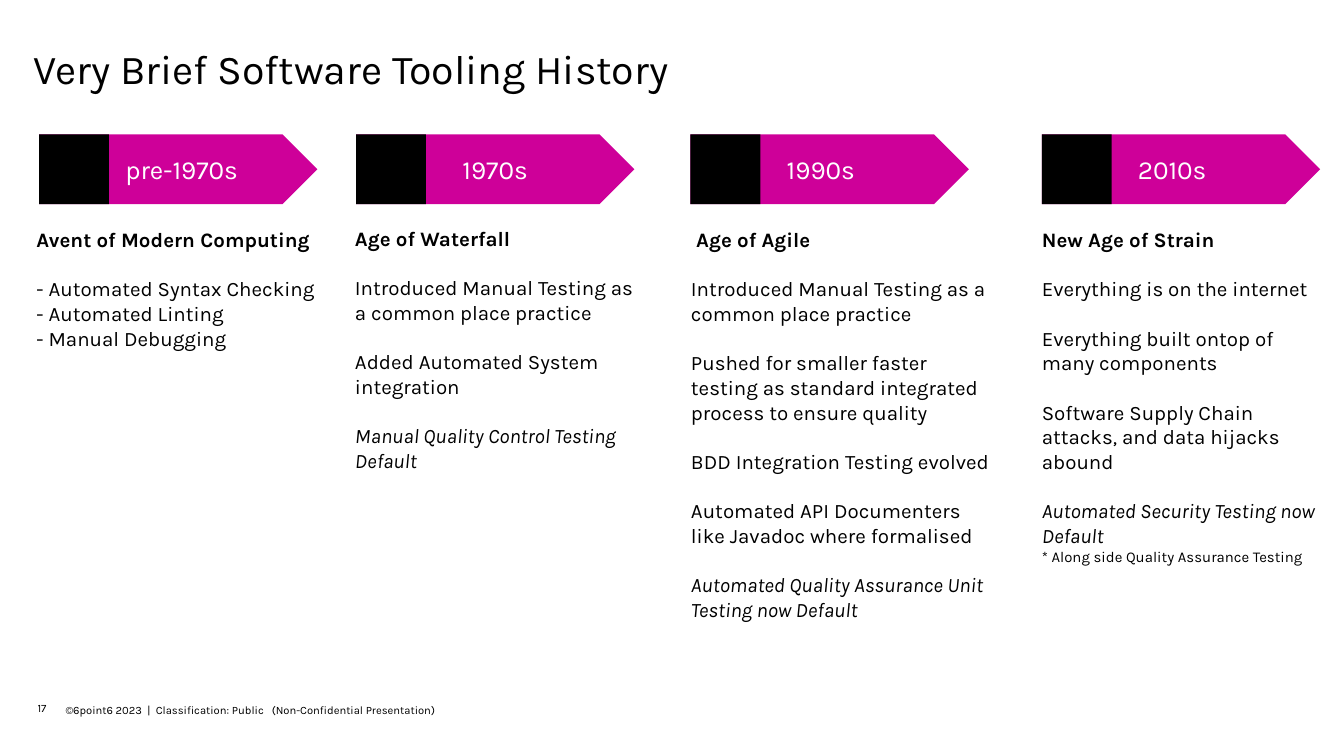
from pptx import Presentation
from pptx.dml.color import RGBColor
from pptx.enum.shapes import MSO_SHAPE as Shape
from pptx.enum.text import MSO_ANCHOR as Anchor, PP_ALIGN as Align
from pptx.util import Cm, Pt

COLOURS = {"ink": "000000", "pink": "CE0099", "paper": "FFFFFF"}
FONT = "Karla"
TITLE = "Very Brief Software Tooling History"
PAGE_NUMBER = "17"
FOOTER = "©6point6 2023  |  Classification: Public   (Non-Confidential Presentation)"

# Paragraph styles: size, bold, italic, space before (points)
STYLES = {
    "heading": (11, True, False, 0),
    "body": (11, False, False, 13.2),
    "next": (11, False, False, 0),
    "result": (11, False, True, 13.2),
    "note": (8, False, False, 0),
}

# Lengths in cm; "shift" is the extra left inset of the arrow label
ERAS = [
    {"label": "pre-1970s", "left": 0.74, "shift": 0.46,
     "text_left": 0.69, "text_top": 4.29, "text_width": 5.79,
     "text": [
         ("heading", "Avent of Modern Computing"),
         ("body", "- Automated Syntax Checking"),
         ("next", "- Automated Linting"),
         ("next", "- Manual Debugging"),
     ]},
    {"label": "1970s", "left": 6.73, "shift": 0.33,
     "text_left": 6.71, "text_top": 4.27, "text_width": 5.54,
     "text": [
         ("heading", "Age of Waterfall"),
         ("body", "Introduced Manual Testing as a common place practice"),
         ("body", "Added Automated System integration"),
         ("result", "Manual Quality Control Testing Default"),
     ]},
    {"label": "1990s", "left": 13.05, "shift": 0,
     "text_left": 13.06, "text_top": 4.29, "text_width": 6.07,
     "text": [
         ("heading", " Age of Agile"),
         ("body", "Introduced Manual Testing as a common place practice"),
         ("body", "Pushed for smaller faster testing as standard integrated "
                  "process to ensure quality"),
         ("body", "BDD Integration Testing evolved"),
         ("body", "Automated API Documenters like Javadoc where formalised"),
         ("result", "Automated Quality Assurance Unit Testing now Default"),
     ]},
    {"label": "2010s", "left": 19.69, "shift": 0,
     "text_left": 19.69, "text_top": 4.29, "text_width": 5.54,
     "text": [
         ("heading", "New Age of Strain"),
         ("body", "Everything is on the internet"),
         ("body", "Everything built ontop of many components"),
         ("body", "Software Supply Chain attacks, and data hijacks abound"),
         ("result", "Automated Security Testing now Default"),
         ("note", "* Along side Quality Assurance Testing"),
     ]},
]
ARROW_TOP, ARROW_WIDTH, ARROW_HEIGHT = 2.54, 5.26, 1.32
TEXT_HEIGHT = 8.03


def colour(name):
    return RGBColor.from_string(COLOURS[name])


def set_frame(frame, insets, anchor):
    frame.word_wrap = True
    frame.vertical_anchor = anchor
    (frame.margin_left, frame.margin_top,
     frame.margin_right, frame.margin_bottom) = [Cm(inset) for inset in insets]


def write(para, text, size, ink="ink", bold=False, italic=False):
    para.text = text
    for span in para.runs:
        font = span.font
        font.name, font.size = FONT, Pt(size)
        font.bold, font.italic = bold, italic
        font.color.rgb = colour(ink)


def add_text(left, top, width, height, insets, anchor):
    box = page.shapes.add_textbox(Cm(left), Cm(top), Cm(width), Cm(height))
    set_frame(box.text_frame, insets, anchor)
    return box.text_frame


def add_block(kind, left, width, fill):
    block = page.shapes.add_shape(
        kind, Cm(left), Cm(ARROW_TOP), Cm(width), Cm(ARROW_HEIGHT))
    block.shadow.inherit = False
    block.fill.solid()
    block.fill.fore_color.rgb = colour(fill)
    block.line.fill.background()
    return block


deck = Presentation()
deck.slide_width, deck.slide_height = Cm(25.4), Cm(14.29)
page = deck.slides.add_slide(deck.slide_layouts[5])

# Title
title = page.shapes.title
title.left, title.top, title.width, title.height = [
    Cm(length) for length in (0.64, 0.58, 24.2, 1.32)]
set_frame(title.text_frame, (0, 0.25, 0.25, 0.25), Anchor.TOP)
heading = title.text_frame.paragraphs[0]
write(heading, TITLE, 22)
heading.alignment = Align.LEFT

# One column per era: arrow, black square, text
for era in ERAS:
    arrow = add_block(Shape.PENTAGON, era["left"], ARROW_WIDTH, "pink")
    arrow.adjustments[0] = 0.5
    set_frame(arrow.text_frame, (0.25 + era["shift"], 0.13, 0.25, 0.13),
              Anchor.MIDDLE)
    label = arrow.text_frame.paragraphs[0]
    write(label, era["label"], 14, "paper")
    label.alignment = Align.CENTER
    add_block(Shape.RECTANGLE, era["left"], ARROW_HEIGHT, "ink")

    frame = add_text(era["text_left"], era["text_top"], era["text_width"],
                     TEXT_HEIGHT, (0, 0, 0.25, 0.13), Anchor.TOP)
    for number, (style, text) in enumerate(era["text"]):
        para = frame.add_paragraph() if number else frame.paragraphs[0]
        size, bold, italic, space = STYLES[style]
        write(para, text, size, bold=bold, italic=italic)
        para.space_before = Pt(space)

# Page number and footer
number_frame = add_text(0.46, 13.16, 1.3, 0.46, (0.25, 0, 0.25, 0), Anchor.MIDDLE)
write(number_frame.paragraphs[0], PAGE_NUMBER, 6)
footer_frame = add_text(1.24, 13.18, 8.36, 0.46, (0, 0, 0.25, 0), Anchor.MIDDLE)
write(footer_frame.paragraphs[0], FOOTER, 6)
footer_frame.paragraphs[0].line_spacing = 1.15

deck.save("out.pptx")
